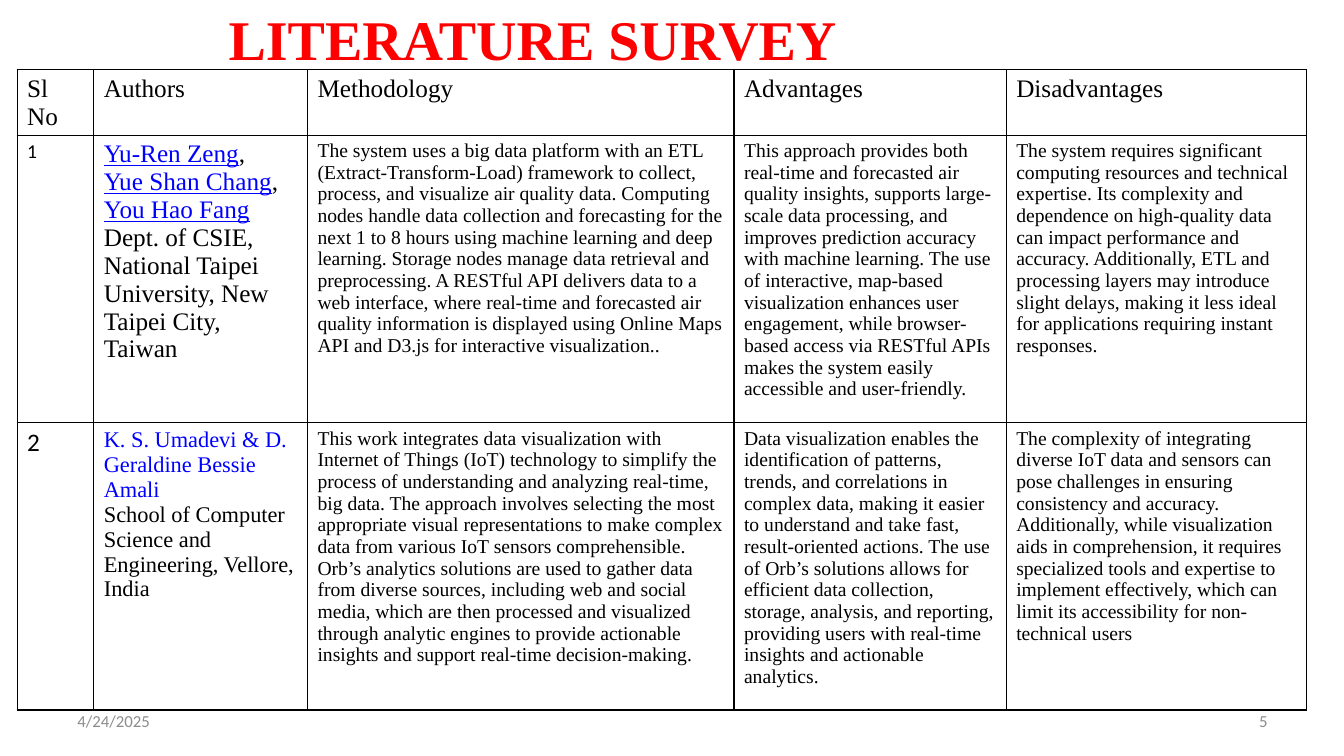
from dataclasses import dataclass

from lxml.etree import SubElement
from pptx import Presentation
from pptx.dml.color import RGBColor
from pptx.enum.text import MSO_ANCHOR, PP_ALIGN
from pptx.oxml.ns import qn
from pptx.util import Inches, Pt


@dataclass(frozen=True)
class Theme:
    """Colours, fonts and type sizes of the slide."""
    serif: str = "Times New Roman"
    sans: str = "Calibri"
    title: str = "FF0000"
    ink: str = "000000"
    author: str = "0000FF"
    muted: str = "8C8C8C"
    title_size: int = 40
    large: int = 18
    medium: int = 16
    body: int = 14
    small: int = 12
    border: int = 1


THEME = Theme()
COLUMNS = [0.76, 2.12, 4.23, 2.7, 2.98]
ROWS = [0.64, 2.75, 2.75]
HEADINGS = ["Sl No", "Authors", "Methodology", "Advantages", "Disadvantages"]


@dataclass(frozen=True)
class Paper:
    """One surveyed paper: authors are paragraphs of (text, is_name) runs."""
    number: str
    number_size: int
    authors: list
    author_size: int
    underline: bool
    findings: list


PAPERS = [
    Paper(
        "1", THEME.body,
        [[("Yu-Ren Zeng", True), (",", False)],
         [("Yue Shan Chang", True), (",", False)],
         [("You Hao Fang", True)],
         [("Dept. of CSIE, National Taipei University, New Taipei City, Taiwan", False)]],
        THEME.large, True,
        ["The system uses a big data platform with an ETL (Extract-Transform-Load) framework "
         "to collect, process, and visualize air quality data. Computing nodes handle data "
         "collection and forecasting for the next 1 to 8 hours using machine learning and deep "
         "learning. Storage nodes manage data retrieval and preprocessing. A RESTful API "
         "delivers data to a web interface, where real-time and forecasted air quality "
         "information is displayed using Online Maps API and D3.js for interactive "
         "visualization..",
         "This approach provides both real-time and forecasted air quality insights, supports "
         "large-scale data processing, and improves prediction accuracy with machine learning. "
         "The use of interactive, map-based visualization enhances user engagement, while "
         "browser-based access via RESTful APIs makes the system easily accessible and "
         "user-friendly.",
         "The system requires significant computing resources and technical expertise. Its "
         "complexity and dependence on high-quality data can impact performance and accuracy. "
         "Additionally, ETL and processing layers may introduce slight delays, making it less "
         "ideal for applications requiring instant responses."]),
    Paper(
        "2", THEME.large,
        [[("K. S. Umadevi & D. Geraldine Bessie Amali", True)],
         [("School of Computer Science and Engineering, Vellore, India", False)]],
        THEME.medium, False,
        ["This work integrates data visualization with Internet of Things (IoT) technology to "
         "simplify the process of understanding and analyzing real-time, big data. The approach "
         "involves selecting the most appropriate visual representations to make complex data "
         "from various IoT sensors comprehensible. Orb’s analytics solutions are used to gather "
         "data from diverse sources, including web and social media, which are then processed "
         "and visualized through analytic engines to provide actionable insights and support "
         "real-time decision-making.",
         "Data visualization enables the identification of patterns, trends, and correlations "
         "in complex data, making it easier to understand and take fast, result-oriented "
         "actions. The use of Orb’s solutions allows for efficient data collection, storage, "
         "analysis, and reporting, providing users with real-time insights and actionable "
         "analytics.",
         "The complexity of integrating diverse IoT data and sensors can pose challenges in "
         "ensuring consistency and accuracy. Additionally, while visualization aids in "
         "comprehension, it requires specialized tools and expertise to implement effectively, "
         "which can limit its accessibility for non-technical users"]),
]


def add_run(p, text, size, font=THEME.serif, color=THEME.ink, bold=False, underline=False):
    """Append one formatted run to a paragraph."""
    r = p.add_run()
    r.text = text
    r.font.size = Pt(size)
    r.font.name = font
    r.font.bold = bold
    r.font.underline = underline
    r.font.color.rgb = RGBColor.from_string(color)


def add_label(s, box, text, size, align=PP_ALIGN.LEFT, anchor=MSO_ANCHOR.MIDDLE, **style):
    """Place a one-line text box in the given box."""
    tf = s.shapes.add_textbox(*map(Inches, box)).text_frame
    tf.word_wrap = True
    tf.vertical_anchor = anchor
    p = tf.paragraphs[0]
    p.alignment = align
    add_run(p, text, size, **style)


def style_cell(cell):
    """Clear the fill and bottom margin and draw a thin border on all four sides."""
    cell.margin_bottom = 0
    tc_pr = cell._tc.get_or_add_tcPr()
    for side in ("a:lnL", "a:lnR", "a:lnT", "a:lnB"):
        ln = SubElement(tc_pr, qn(side), w=str(Pt(THEME.border)))
        SubElement(SubElement(ln, qn("a:solidFill")), qn("a:srgbClr"), val=THEME.ink)
    cell.fill.background()


def fill_authors(tf, paper):
    """Write the authors and their affiliation, one paragraph each."""
    for i, runs in enumerate(paper.authors):
        p = tf.add_paragraph() if i else tf.paragraphs[0]
        for text, is_name in runs:
            add_run(p, text, paper.author_size,
                    color=THEME.author if is_name else THEME.ink,
                    underline=is_name and paper.underline)


def add_survey_table(s, box):
    """Draw the survey table in the given box."""
    table = s.shapes.add_table(len(ROWS), len(COLUMNS), *map(Inches, box)).table
    table.first_row = table.horz_banding = False
    for column, width in zip(table.columns, COLUMNS):
        column.width = Inches(width)
    for row, height in zip(table.rows, ROWS):
        row.height = Inches(height)
    for cell in table.iter_cells():
        style_cell(cell)
    for c, heading in enumerate(HEADINGS):
        add_run(table.cell(0, c).text_frame.paragraphs[0], heading, THEME.large)
    for i, paper in enumerate(PAPERS, 1):
        p = table.cell(i, 0).text_frame.paragraphs[0]
        add_run(p, paper.number, paper.number_size, THEME.sans)
        fill_authors(table.cell(i, 1).text_frame, paper)
        for c, finding in enumerate(paper.findings, 2):
            add_run(table.cell(i, c).text_frame.paragraphs[0], finding, THEME.body)


def add_footer(s, box, date, number):
    """Place the date at the left and the slide number at the right of the box."""
    left, top, width, height = box
    part = 3.11
    style = {"font": THEME.sans, "color": THEME.muted}
    add_label(s, (left, top, part, height), date, THEME.small, **style)
    add_label(s, (left + width - part, top, part, height), number, THEME.small,
              PP_ALIGN.RIGHT, **style)


def main():
    """Build and save the slide."""
    prs = Presentation()
    prs.slide_width, prs.slide_height = Inches(13.33), Inches(7.5)
    s = prs.slides.add_slide(prs.slide_layouts[6])
    add_footer(s, (0.67, 6.95, 12, 0.4), "4/24/2025", "5")
    add_label(s, (2.17, 0, 9, 1.55), "LITERATURE SURVEY", THEME.title_size,
              anchor=MSO_ANCHOR.TOP, color=THEME.title, bold=True)
    add_survey_table(s, (0.17, 0.69, sum(COLUMNS), sum(ROWS)))
    prs.save("out.pptx")


if __name__ == "__main__":
    main()
